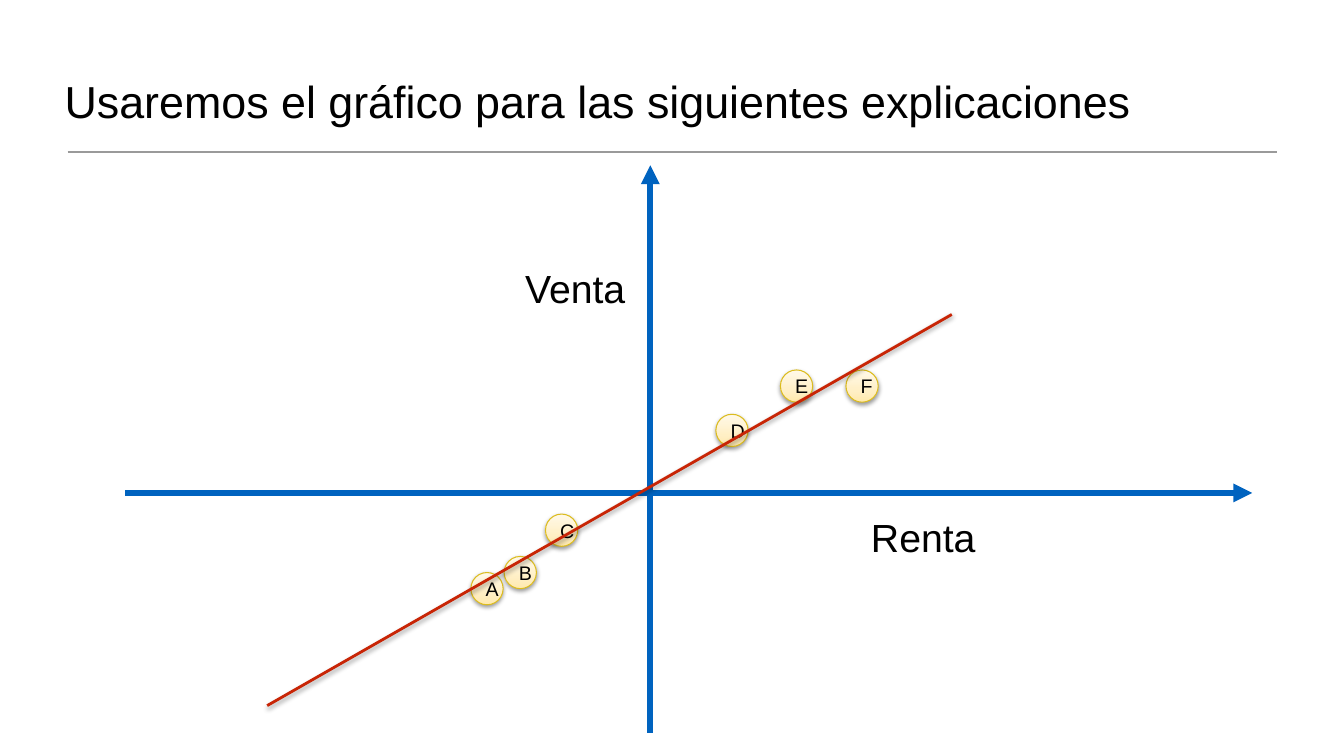
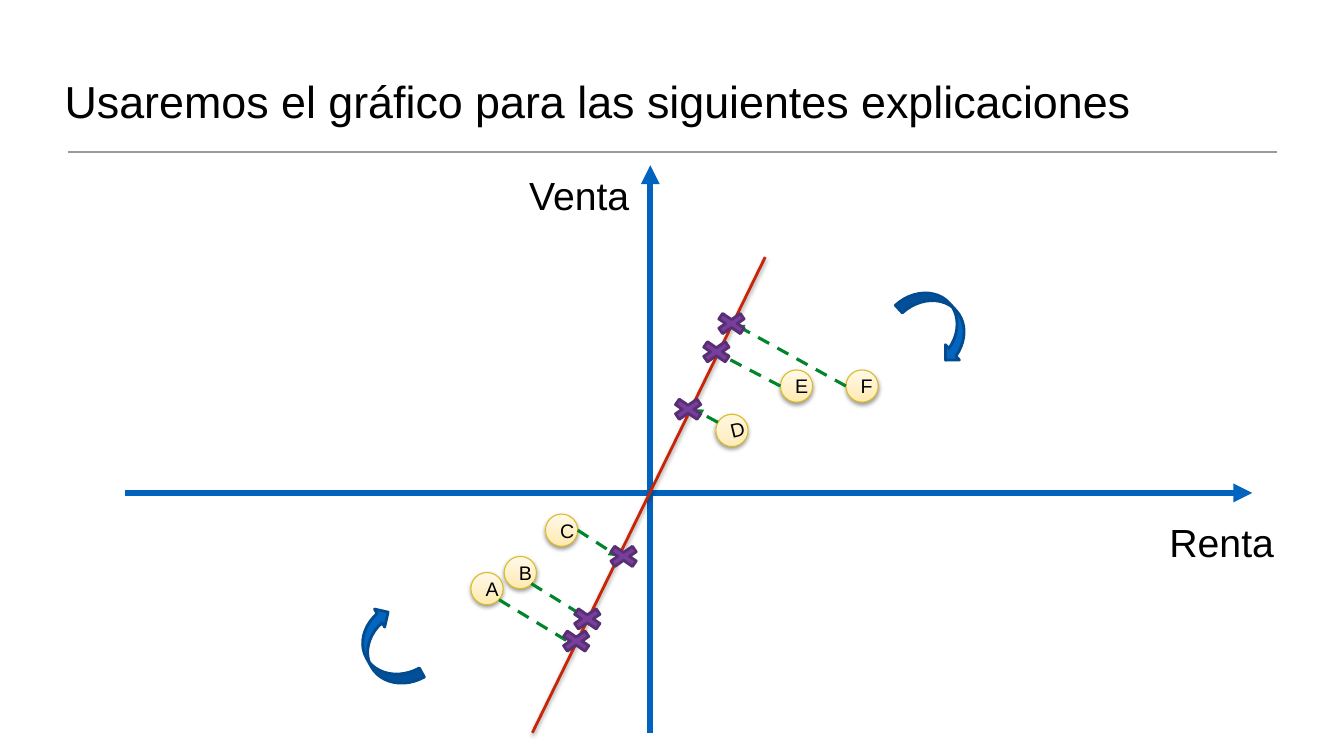
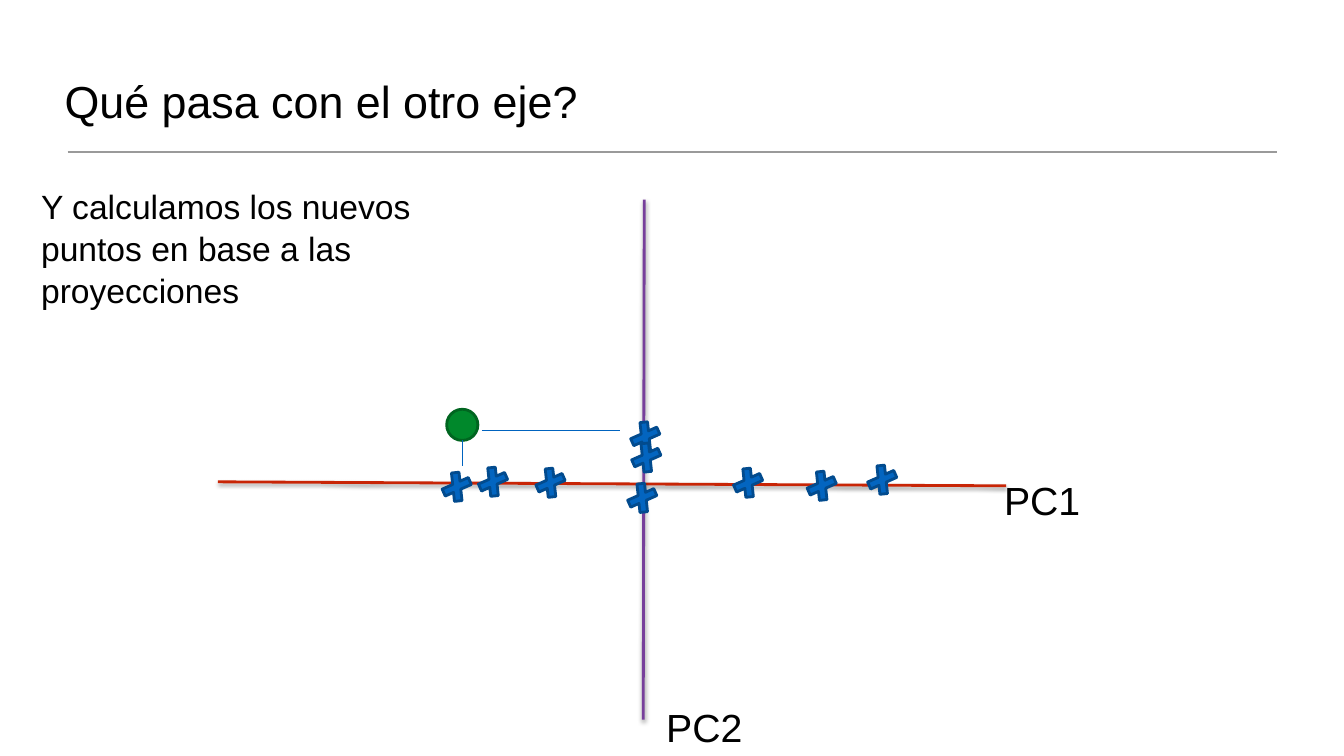
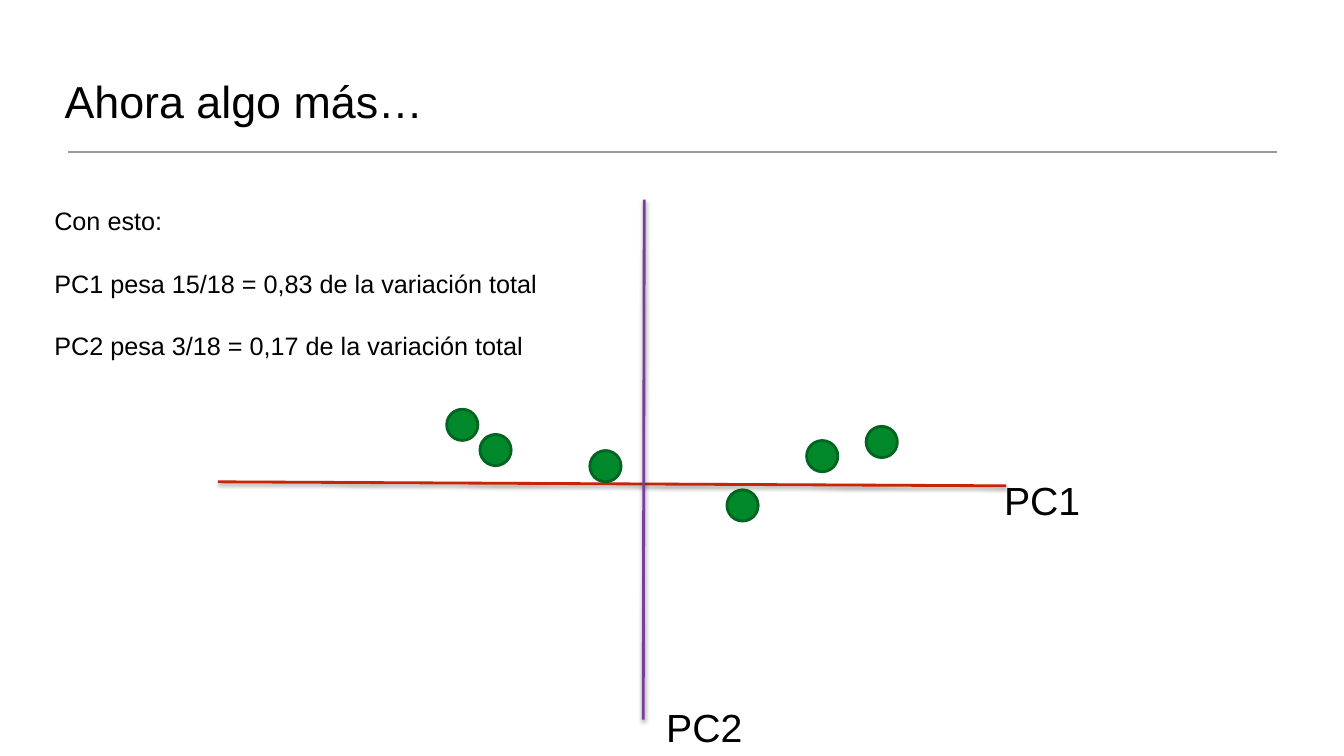
from pptx import Presentation, oxml
from pptx import util as u
from pptx.dml.color import RGBColor
from pptx.enum import dml, shapes, text
from pptx.oxml import ns

BLACK = RGBColor(0x00, 0x00, 0x00)
GREY = RGBColor(0x9A, 0x9A, 0x9A)
AXIS = RGBColor(0x00, 0x63, 0xBF)
BLUE = RGBColor(0x03, 0x65, 0xC0)
NAVY = RGBColor(0x02, 0x4B, 0x8E)
RED = RGBColor(0xC8, 0x25, 0x06)
PURPLE = RGBColor(0x77, 0x3F, 0x9B)
PLUM = RGBColor(0x58, 0x2F, 0x73)
DASH = RGBColor(0x00, 0x85, 0x2A)
GREEN = RGBColor(0x00, 0x88, 0x2B)
FOREST = RGBColor(0x00, 0x65, 0x20)
GOLD = RGBColor(0xDC, 0xBC, 0x1E)
CREAM = ((0, RGBColor(0xFF, 0xE9, 0xAD)),
         (35, RGBColor(0xFF, 0xEF, 0xC5)),
         (100, RGBColor(0xFF, 0xF9, 0xE9)))

FONT = "Arial"
KIND = shapes.MSO_SHAPE


def node(tag, inner="", attrs=""):
    return oxml.parse_xml(
        f'<a:{tag} {ns.nsdecls("a")} {attrs}>{inner}</a:{tag}>')


def shade():
    return node("outerShdw",
                '<a:srgbClr val="000000"><a:alpha val="38000"/></a:srgbClr>',
                f'blurRad="{u.Pt(3.1)}" dist="{u.Pt(1.6)}" dir="5400000" rotWithShape="0"')


def blend(stops):
    marks = "".join(f'<a:gs pos="{pos * 1000}"><a:srgbClr val="{tint}"/></a:gs>'
                    for pos, tint in stops)
    return node("gradFill", f'<a:gsLst>{marks}</a:gsLst><a:lin ang="16200000" scaled="0"/>',
                'rotWithShape="1"')


class Deck:
    def __init__(self):
        self.prs = Presentation()
        self.prs.slide_width = u.Inches(13.33)
        self.prs.slide_height = u.Inches(7.5)
        self.slide = None

    def start(self, title):
        self.slide = self.prs.slides.add_slide(self.prs.slide_layouts[5])
        head = self.slide.shapes.title
        head.left, head.top = u.Inches(0.58), u.Inches(0.25)
        head.width, head.height = u.Inches(12.17), u.Inches(1.07)
        frame = head.text_frame
        frame.auto_size = text.MSO_AUTO_SIZE.NONE
        frame.vertical_anchor = text.MSO_ANCHOR.BOTTOM
        frame.margin_left = frame.margin_right = u.Inches(0.06)
        frame.margin_top = frame.margin_bottom = u.Inches(0.06)
        self.words(frame.paragraphs[0], title, 32)
        self.line((0.67, 1.51), (12.67, 1.51), GREY, 1)

    def words(self, para, phrase, size, align=text.PP_ALIGN.LEFT):
        para.alignment = align
        run = para.add_run()
        run.text = phrase
        run.font.name = FONT
        run.font.size = u.Pt(size)
        run.font.color.rgb = BLACK

    def box(self, at, lines, size, wrap=True, gap=0):
        frame = self.slide.shapes.add_textbox(*map(u.Inches, at)).text_frame
        frame.word_wrap = wrap
        frame.auto_size = text.MSO_AUTO_SIZE.SHAPE_TO_FIT_TEXT
        for i, phrase in enumerate(lines):
            para = frame.add_paragraph() if i else frame.paragraphs[0]
            para.line_spacing = 1.04
            para.space_before = u.Pt(gap if i else 0)
            self.words(para, phrase, size)

    def label(self, x, y, width, phrase):
        self.box((x, y, width, 0.57), [phrase], 28, wrap=False)

    def line(self, start, end, color, width, arrow=False, dash=False, soft=False):
        link = self.slide.shapes.add_connector(
            shapes.MSO_CONNECTOR.STRAIGHT, *map(u.Inches, start + end))
        link.line.color.rgb = color
        link.line.width = u.Pt(width)
        if dash:
            link.line.dash_style = dml.MSO_LINE.DASH
        props = link.element.spPr
        if arrow:
            props.find(ns.qn("a:ln")).append(node("tailEnd", attrs='type="triangle"'))
        effects = node("effectLst")
        if soft:
            effects.append(shade())
        props.append(effects)

    def shape(self, kind, at, fill, edge, width=2, turn=0):
        item = self.slide.shapes.add_shape(kind, *map(u.Inches, at))
        item.rotation = turn
        item.fill.solid()
        item.fill.fore_color.rgb = fill
        item.line.color.rgb = edge
        item.line.width = u.Pt(width)
        item.shadow.inherit = False
        return item

    def point(self, x, y, name, turn=0):
        item = self.shape(KIND.OVAL, (x, y, 0.32, 0.32), CREAM[0][1], GOLD, 0.75, turn)
        props = item.element.spPr
        props.replace(props.find(ns.qn("a:solidFill")), blend(CREAM))
        props.find(ns.qn("a:effectLst")).append(shade())
        item.text_frame.vertical_anchor = text.MSO_ANCHOR.MIDDLE
        self.words(item.text_frame.paragraphs[0], name, 14, text.PP_ALIGN.CENTER)

    def dot(self, x, y):
        self.shape(KIND.OVAL, (x, y, 0.31, 0.31), GREEN, FOREST)

    def plot(self, sales, rent, start, end, turns):
        for name, (x, y) in POINTS.items():
            self.point(x, y, name, turns.get(name, 0))
        self.line((1.24, 4.89), (12.42, 4.89), AXIS, 4.5, arrow=True)
        self.line((6.45, 7.27), (6.45, 1.64), AXIS, 4.5, arrow=True)
        self.label(*rent, 1.25, "Renta")
        self.label(*sales, 1.23, "Venta")
        self.line(start, end, RED, 2, soft=True)

    def axes(self):
        self.line((9.98, 4.82), (2.16, 4.78), RED, 2, soft=True)
        self.line((6.39, 1.98), (6.38, 7.14), PURPLE, 2, soft=True)

    def names(self):
        self.label(6.51, 6.91, 0.97, "PC2")
        self.label(9.86, 4.66, 0.97, "PC1")


POINTS = {"A": (4.67, 5.68), "B": (5, 5.52), "C": (5.41, 5.1),
          "D": (7.1, 4.11), "E": (7.74, 3.67), "F": (8.39, 3.67)}
GRAPH = "Usaremos el gráfico para las siguientes explicaciones"

deck = Deck()

deck.start(GRAPH)
deck.plot((5.11, 2.55), (8.54, 5.02), (9.44, 3.12), (2.65, 7), {})

deck.start(GRAPH)
deck.plot((5.15, 1.63), (11.5, 5.07), (7.59, 2.55), (5.28, 7.27), {"D": 346.3})
for start, end in (((8.39, 3.83), (7.29, 3.22)), ((7.74, 3.83), (7.13, 3.51)),
                   ((7.12, 4.19), (6.88, 4.06)), ((5.73, 5.26), (6.13, 5.52)),
                   ((5.27, 5.79), (5.8, 6.12)), ((4.95, 5.95), (5.71, 6.41))):
    deck.line(start, end, DASH, 2.25, arrow=True, dash=True)
for x, y in ((7.05, 3.07), (6.9, 3.35), (6.62, 3.92),
             (5.98, 5.38), (5.62, 6), (5.51, 6.22)):
    deck.shape(KIND.MATH_MULTIPLY, (x, y, 0.41, 0.28), PURPLE, PLUM)
for x, y, turn in ((9.11, 2.78, 317.5), (3.62, 6.03, 150.8)):
    deck.shape(KIND.CURVED_LEFT_ARROW, (x, y, 0.41, 0.84), BLUE, NAVY, turn=turn)

deck.start("Qué pasa con el otro eje?")
deck.box((0.31, 1.78, 3.87, 1.31),
         ["Y calculamos los nuevos puntos en base a las proyecciones"], 24)
deck.axes()
for x, y in ((8.59, 4.54), (7.99, 4.6), (7.26, 4.57), (5.3, 4.57), (4.73, 4.56),
             (4.37, 4.61), (6.24, 4.11), (6.25, 4.32), (6.21, 4.72)):
    deck.shape(KIND.MATH_MULTIPLY, (x, y, 0.32, 0.44), BLUE, NAVY, turn=30)
deck.names()
deck.dot(4.43, 4.06)
deck.line((4.78, 4.27), (6.15, 4.27), AXIS, 0.75)
deck.line((4.59, 4.37), (4.59, 4.62), AXIS, 0.75)

deck.start("Ahora algo más…")
deck.axes()
deck.names()
for x, y in ((4.43, 4.06), (4.76, 4.31), (7.21, 4.86),
             (8, 4.37), (8.59, 4.23), (5.85, 4.47)):
    deck.dot(x, y)
deck.box((0.44, 1.98, 5.71, 1.92),
         ["Con esto:", "PC1 pesa 15/18 = 0,83 de la variación total",
          "PC2 pesa 3/18 = 0,17 de la variación total"], 18, gap=22)

deck.prs.save("out.pptx")
